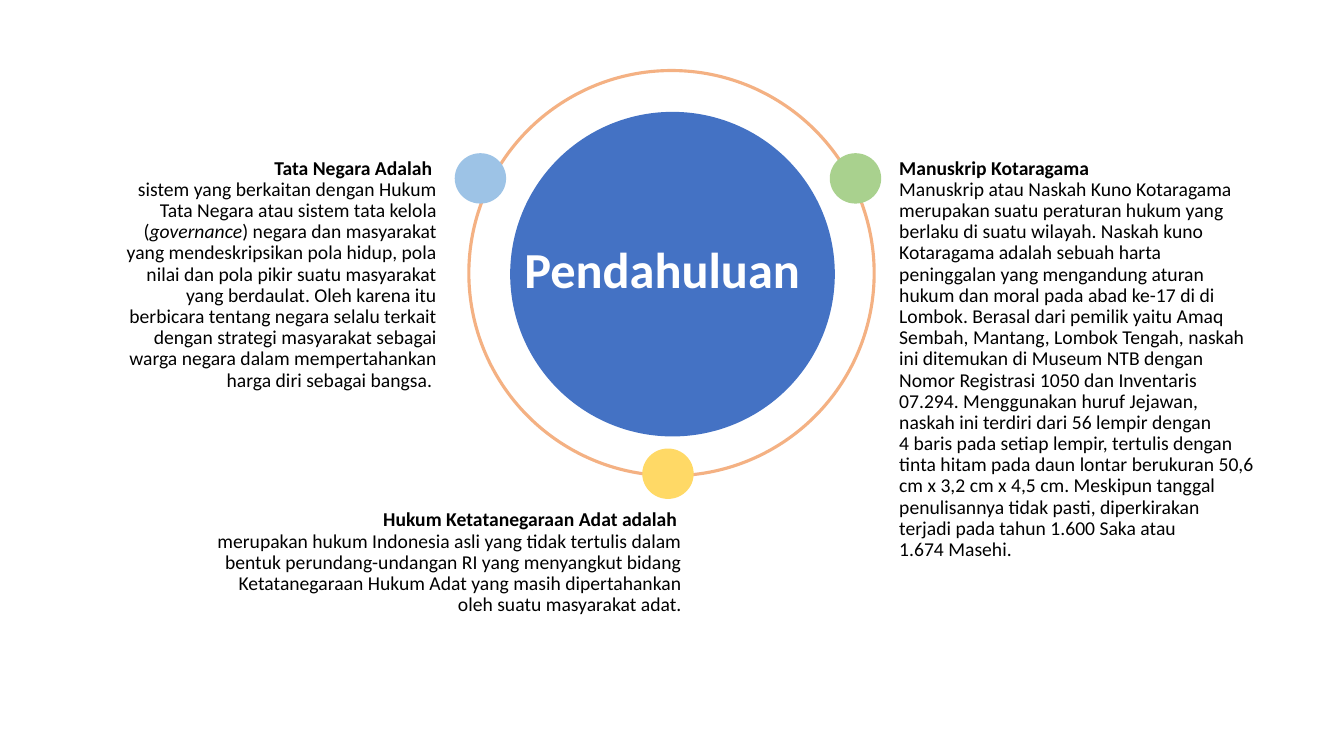
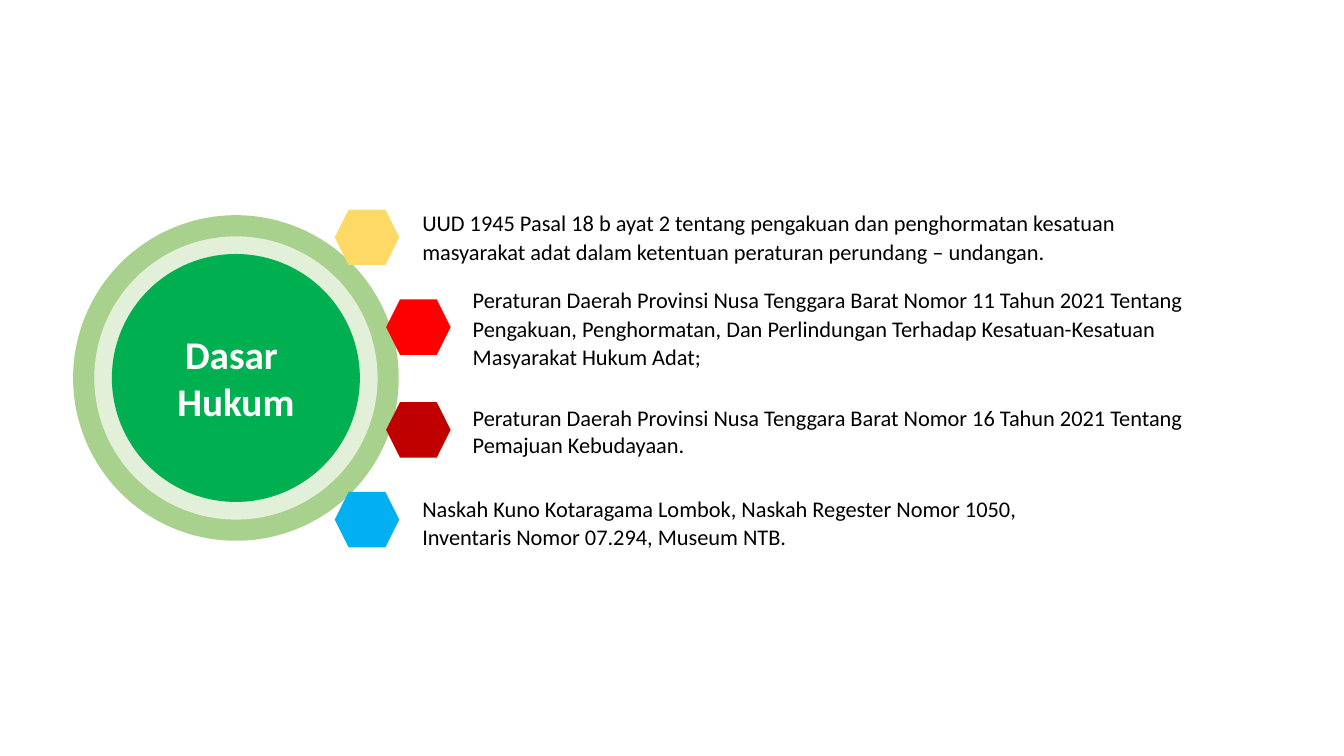
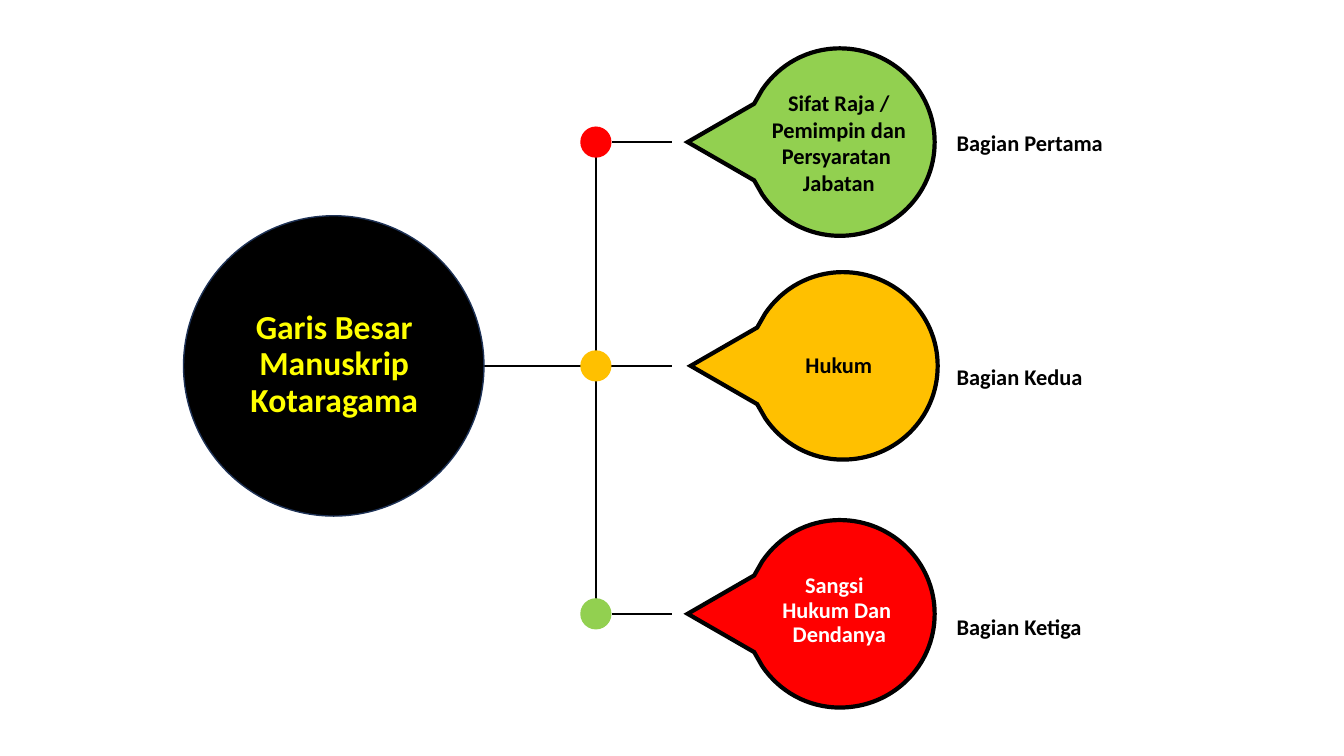
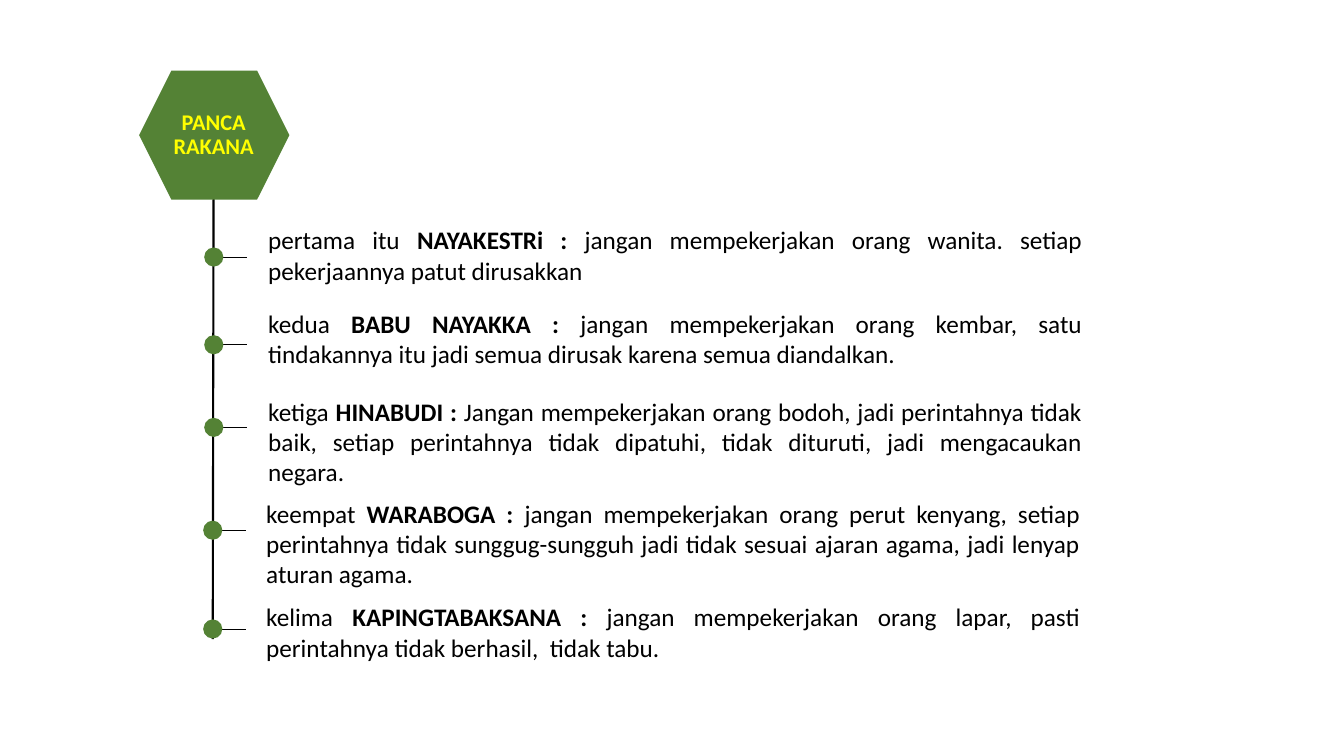
from dataclasses import dataclass

from lxml import etree
from pptx import Presentation
from pptx import util as u
from pptx.dml.color import RGBColor
from pptx.enum import shapes, text
from pptx.oxml.ns import qn

PX = 9144  # 100 px to the inch
TITLE_ONLY = 5
LEFT, CENTER, RIGHT, JUSTIFY = (
    text.PP_ALIGN.LEFT, text.PP_ALIGN.CENTER, text.PP_ALIGN.RIGHT, text.PP_ALIGN.JUSTIFY)
TOP, MIDDLE = text.MSO_ANCHOR.TOP, text.MSO_ANCHOR.MIDDLE
OVAL, HEXAGON = shapes.MSO_SHAPE.OVAL, shapes.MSO_SHAPE.HEXAGON

# Balloon outline around its centre: a segment has one point (line) or three (curve).
BALLOON_START = (0, -93)
BALLOON_SEGMENTS = [
    [(52, -93), (94, -51), (94, 0)],
    [(94, 52), (52, 93), (0, 93)],
    [(-32, 93), (-60, 77), (-77, 52)],
    [(-85, 38)],
    [(-151, 0)],
    [(-85, -38)],
    [(-77, -52)],
    [(-60, -77), (-32, -93), (0, -93)],
]


@dataclass(frozen=True)
class Theme:
    font: str = "Calibri"
    black: str = "000000"
    white: str = "FFFFFF"
    yellow: str = "FFFF00"
    blue: str = "4472C4"
    navy: str = "1E3256"
    sky: str = "00B0F0"
    pale_blue: str = "9DC3E6"
    orange: str = "F4B183"
    amber: str = "FFC000"
    sand: str = "FFD966"
    red: str = "FF0000"
    dark_red: str = "C00000"
    lime: str = "92D050"
    soft_green: str = "A9D18E"
    pale_green: str = "E2F0D9"
    green: str = "00B050"
    dark_green: str = "548235"
    small: int = 14
    label: int = 16
    body: int = 18
    heading: int = 24
    large_heading: int = 28
    main_heading: int = 36


T = Theme()


def px(*values):
    return [u.Emu(round(value * PX)) for value in values]


def bold(words):
    return words, "bold"


def italic(words):
    return words, "italic"


def write(frame, paragraphs, size, color=T.black, align=LEFT, anchor=TOP,
          spacing=1.0, all_bold=False):
    """Fill a frame; a paragraph is a string or a list of strings and styled pieces."""
    frame.word_wrap = True
    frame.auto_size = text.MSO_AUTO_SIZE.NONE
    frame.vertical_anchor = anchor
    for index, pieces in enumerate(paragraphs):
        paragraph = frame.paragraphs[0] if index == 0 else frame.add_paragraph()
        paragraph.alignment = align
        paragraph.line_spacing = spacing
        for piece in [pieces] if isinstance(pieces, str) else pieces:
            words, style = (piece, "") if isinstance(piece, str) else piece
            run = paragraph.add_run()
            run.text = words
            run.font.name = T.font
            run.font.size = u.Pt(size)
            run.font.color.rgb = RGBColor.from_string(color)
            run.font.bold = all_bold or style == "bold"
            run.font.italic = style == "italic"


def add_text(slide, box, paragraphs, size, **style):
    shape = slide.shapes.add_textbox(*px(*box))
    write(shape.text_frame, paragraphs, size, **style)
    return shape


def set_title(slide, box, paragraphs, size, color, anchor=MIDDLE, spacing=0.9):
    """Place the title and bring it in front of the shapes drawn so far."""
    title = slide.shapes.title
    title.left, title.top, title.width, title.height = px(*box)
    write(title.text_frame, paragraphs, size, color=color, align=CENTER,
          anchor=anchor, spacing=spacing, all_bold=True)
    title._element.getparent().append(title._element)


def paint(shape, fill=None, line=None, weight=1):
    shape.shadow.inherit = False
    if fill:
        shape.fill.solid()
        shape.fill.fore_color.rgb = RGBColor.from_string(fill)
    else:
        shape.fill.background()
    if line:
        shape.line.color.rgb = RGBColor.from_string(line)
        shape.line.width = u.Pt(weight)
    else:
        shape.line.fill.background()


def add_figure(slide, kind, box, **colors):
    paint(slide.shapes.add_shape(kind, *px(*box)), **colors)


def add_dot(slide, x, y, size, fill):
    add_figure(slide, OVAL, (x - size / 2, y - size / 2, size, size), fill=fill)


def add_line(slide, x1, y1, x2, y2, weight=1.5):
    line = slide.shapes.add_connector(shapes.MSO_CONNECTOR.STRAIGHT, *px(x1, y1, x2, y2))
    line.line.color.rgb = RGBColor.from_string(T.black)
    line.line.width = u.Pt(weight)
    etree.SubElement(line._element.spPr, qn("a:effectLst"))


def add_balloon(slide, x, y, fill):
    """Draw a circle with a point to the left."""
    def place(point):
        return px(x + point[0], y + point[1])

    builder = slide.shapes.build_freeform(*place(BALLOON_START), scale=1.0)
    builder.add_line_segments(
        [place(point) for segment in BALLOON_SEGMENTS for point in segment], close=True)
    balloon = builder.convert_to_shape()
    steps = iter(list(balloon._element.iter(qn("a:lnTo"))))
    for segment in BALLOON_SEGMENTS:
        first, *others = [next(steps) for _ in segment]
        if others:
            first.tag = qn("a:cubicBezTo")
        for step in others:
            first.append(step[0])
            step.getparent().remove(step)
    paint(balloon, fill, T.black, 3)
    etree.SubElement(balloon.line._get_or_add_ln(), qn("a:miter"), lim="800000")


def build_introduction(slide):
    definitions = [
        ((114, 152, 329, 254), RIGHT, [
            [bold("Tata Negara Adalah ")],
            ["sistem yang berkaitan dengan Hukum Tata Negara atau sistem tata kelola (",
             italic("governance"),
             ") negara dan masyarakat yang mendeskripsikan pola hidup, pola nilai dan pola "
             "pikir suatu masyarakat yang berdaulat. Oleh karena itu berbicara tentang negara "
             "selalu terkait dengan strategi masyarakat sebagai warga negara dalam "
             "mempertahankan harga diri sebagai bangsa. "]]),
        ((194, 501, 492, 129), RIGHT, [
            [bold("Hukum Ketatanegaraan Adat adalah ")],
            "merupakan hukum Indonesia asli yang tidak tertulis dalam bentuk "
            "perundang-undangan RI yang menyangkut bidang Ketatanegaraan Hukum Adat yang "
            "masih dipertahankan oleh suatu masyarakat adat."]),
        ((882, 152, 372, 460), LEFT, [
            [bold("Manuskrip Kotaragama")],
            "Manuskrip atau Naskah Kuno Kotaragama merupakan suatu peraturan hukum yang "
            "berlaku di suatu wilayah. Naskah kuno Kotaragama adalah sebuah harta peninggalan "
            "yang mengandung aturan hukum dan moral pada abad ke-17 di di Lombok. Berasal dari "
            "pemilik yaitu Amaq Sembah, Mantang, Lombok Tengah, naskah ini ditemukan di Museum "
            "NTB dengan Nomor Registrasi 1050 dan Inventaris 07.294. Menggunakan huruf Jejawan, "
            "naskah ini terdiri dari 56 lempir dengan",
            "4 baris pada setiap lempir, tertulis dengan tinta hitam pada daun lontar berukuran "
            "50,6 cm x 3,2 cm x 4,5 cm. Meskipun tanggal penulisannya tidak pasti, diperkirakan "
            "terjadi pada tahun 1.600 Saka atau",
            "1.674 Masehi."]),
    ]
    for box, align, paragraphs in definitions:
        add_text(slide, box, paragraphs, T.small, align=align, spacing=0.9)
    add_figure(slide, OVAL, (506, 111, 322, 322), fill=T.blue)
    set_title(slide, (504, 228, 317, 85), ["Pendahuluan "], T.main_heading, T.white)
    add_figure(slide, OVAL, (465, 70, 402, 402), line=T.orange, weight=2.25)
    for x, y, fill in [(451, 152, T.pale_blue), (823, 152, T.soft_green), (637, 445, T.sand)]:
        add_figure(slide, OVAL, (x, y, 51, 50), fill=fill)


def build_legal_basis(slide):
    laws = [
        (332, 208, T.sand, (409, 201, 810, 66), 1.07,
         "UUD 1945 Pasal 18 b ayat 2 tentang pengakuan dan penghormatan kesatuan masyarakat "
         "adat dalam ketentuan peraturan perundang – undangan."),
        (383, 297, T.red, (459, 277, 788, 95), 1.07,
         "Peraturan Daerah Provinsi Nusa Tenggara Barat Nomor 11 Tahun 2021 Tentang Pengakuan, "
         "Penghormatan, Dan Perlindungan Terhadap Kesatuan-Kesatuan Masyarakat Hukum Adat;"),
        (383, 399, T.dark_red, (459, 396, 788, 64), 1.0,
         "Peraturan Daerah Provinsi Nusa Tenggara Barat Nomor 16 Tahun 2021 Tentang Pemajuan "
         "Kebudayaan."),
        (332, 488, T.sky, (409, 484, 667, 66), 1.07,
         "Naskah Kuno Kotaragama Lombok, Naskah Regester Nomor 1050, Inventaris Nomor 07.294, "
         "Museum NTB."),
    ]
    for _, _, _, box, spacing, law in laws:
        add_text(slide, box, [law], T.label, spacing=spacing)
    for size, fill in [(323, T.soft_green), (281, T.pale_green), (246, T.green)]:
        add_dot(slide, 234, 375, size, fill)
    set_title(slide, (86, 323, 296, 110), ["Dasar ", "Hukum"], T.large_heading, T.white,
              anchor=TOP, spacing=1.0)
    for x, y, fill, *_ in laws:
        add_figure(slide, HEXAGON, (x, y, 64, 55), fill=fill)


def build_outline(slide):
    trunk, branch_start, branch_end = 591, 607, 667
    add_line(slide, 443, 363, branch_end, 363)
    add_line(slide, trunk, 141, trunk, 617)
    for y in (141, 609):
        add_line(slide, branch_start, y, branch_end, y)
    parts = [
        # centre, dot, balloon, text colour, spacing, text box, text, label top, label
        ((833, 141), T.red, T.lime, T.black, 1.0, (724, 48, 216, 187),
         ["Sifat Raja /", "Pemimpin dan Persyaratan ", "Jabatan"], 128, "Bagian Pertama"),
        ((836, 363), T.amber, T.amber, T.black, 0.9, (724, 348, 216, 30),
         ["Hukum"], 360, "Bagian Kedua"),
        ((833, 609), T.lime, T.red, T.white, 0.9, (722, 591, 216, 30),
         ["Sangsi ", "Hukum Dan", " Dendanya"], 608, "Bagian Ketiga"),
    ]
    for (x, y), dot, fill, color, spacing, box, content, label_top, label in parts:
        add_dot(slide, trunk, y, 31, dot)
        add_balloon(slide, x, y, fill)
        add_text(slide, box, content, T.label, color=color, align=CENTER, anchor=MIDDLE,
                 spacing=spacing, all_bold=True)
        add_text(slide, (939, label_top, 216, 30), [label], T.label,
                 anchor=MIDDLE, spacing=0.9, all_bold=True)
    add_figure(slide, OVAL, (182, 214, 298, 298), fill=T.black, line=T.navy)
    set_title(slide, (183, 243, 297, 238), ["Garis Besar Manuskrip Kotaragama"],
              T.heading, T.yellow)


def build_five_rules(slide):
    add_line(slide, 211, 634, 212, 110)
    rules = [
        (212, 255, 222, 218, "pertama itu ", "NAYAKESTRi : ",
         "jangan mempekerjakan orang wanita. setiap pekerjaannya patut dirusakkan"),
        (212, 342, 222, 301, "kedua ", "BABU NAYAKKA : ",
         "jangan mempekerjakan orang kembar, satu tindakannya itu jadi semua dirusak karena "
         "semua diandalkan."),
        (212, 424, 222, 388, "ketiga ", "HINABUDI : ",
         "Jangan mempekerjakan orang bodoh, jadi perintahnya tidak baik, setiap perintahnya "
         "tidak dipatuhi, tidak dituruti, jadi mengacaukan negara."),
        (211, 526, 220, 489, "keempat ", "WARABOGA : ",
         "jangan mempekerjakan orang perut kenyang, setiap perintahnya tidak sunggug-sungguh "
         "jadi tidak sesuai ajaran agama, jadi lenyap aturan agama."),
        (211, 624, 220, 592, "kelima ", "KAPINGTABAKSANA : ",
         "jangan mempekerjakan orang lapar, pasti perintahnya tidak berhasil,  tidak tabu."),
    ]
    for x, y, left, top, order, name, rule in rules:
        add_line(slide, x, y, x + 33, y, weight=0.5)
        add_dot(slide, x, y, 19, T.dark_green)
        box = add_text(slide, (left, top, 861, 73), [[order, bold(name), rule]],
                       T.body, align=JUSTIFY)
        box.text_frame.margin_left = px(44)[0]
    add_figure(slide, HEXAGON, (138, 70, 149, 128), fill=T.dark_green)
    set_title(slide, (143, 101, 138, 67), ["PANCA RAKANA"], T.label, T.yellow)


def main():
    presentation = Presentation()
    presentation.slide_width, presentation.slide_height = u.Inches(13.33), u.Inches(7.5)
    layout = presentation.slide_layouts[TITLE_ONLY]
    for build in (build_introduction, build_legal_basis, build_outline, build_five_rules):
        build(presentation.slides.add_slide(layout))
    presentation.save("out.pptx")


if __name__ == "__main__":
    main()
